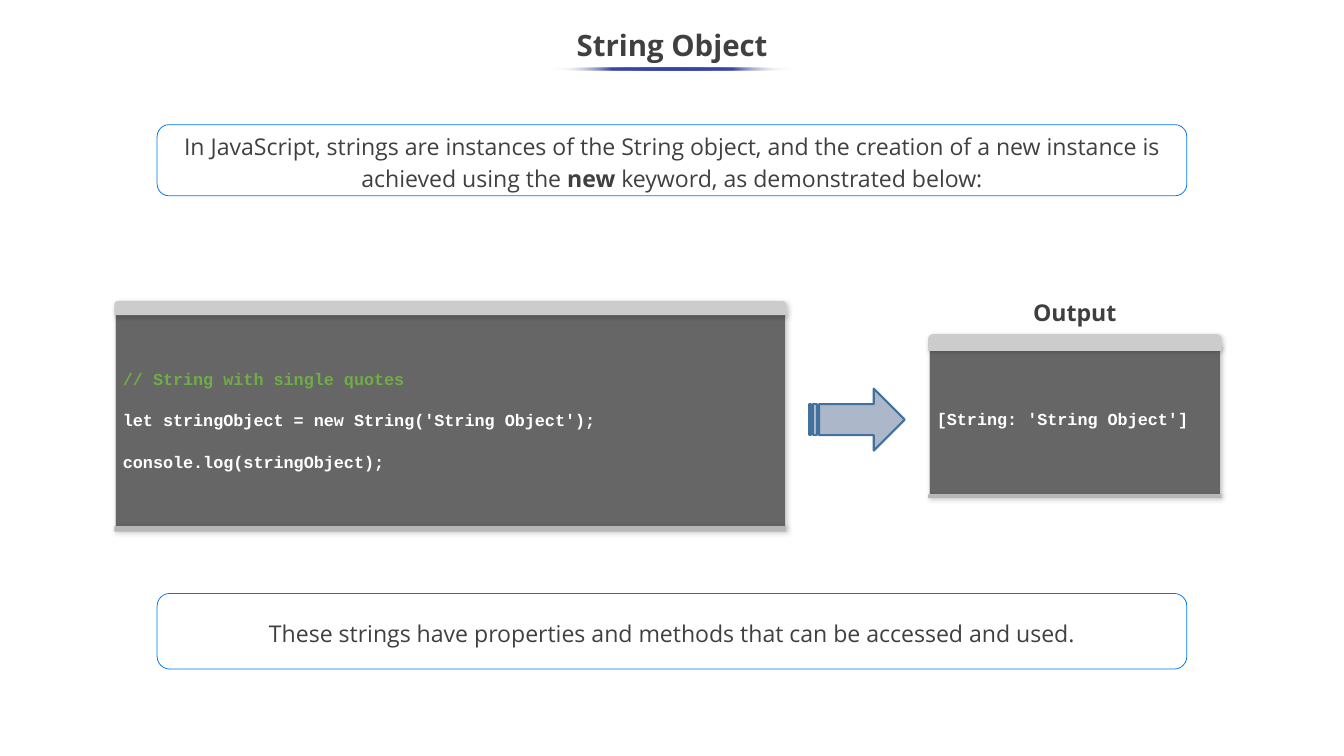
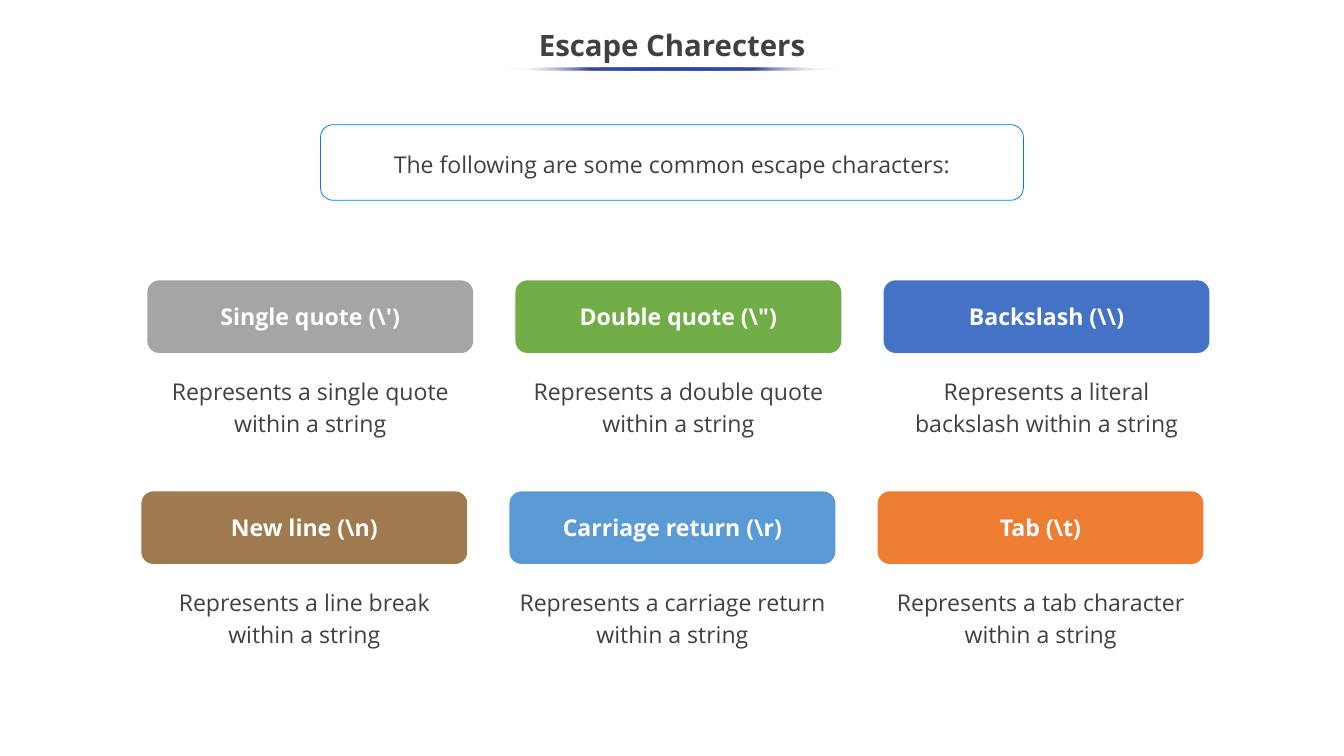
from collections import namedtuple

from lxml.etree import SubElement
from pptx import Presentation
from pptx.dml.color import RGBColor
from pptx.enum.shapes import MSO_SHAPE as Shape
from pptx.enum.text import MSO_ANCHOR as Anchor, MSO_AUTO_SIZE as AutoSize, PP_ALIGN as Align
from pptx.oxml import parse_xml
from pptx.oxml.ns import nsdecls, qn
from pptx.util import Cm, Pt

Box = namedtuple("Box", "left top width height")  # centimetres

SLIDE_WIDTH, SLIDE_HEIGHT = 45.16, 25.4
BODY_FONT, CODE_FONT = "Open Sans", "Courier New"
COLORS = {
    "text": "404040", "label": "3F3F3F", "white": "FFFFFF", "underline": "3645A9",
    "banner": "0078EE", "panel": "666666", "cap": "CCCCCC", "foot": "B7B7B7",
    "shadow": "000000", "arrow": "ACB8CA", "arrow_line": "42719B",
    "gray": "A5A5A5", "green": "70AD47", "blue": "4472C4",
    "brown": "9F7A4E", "sky": "5B9BD5", "orange": "ED7D31",
}


def rgb(name):
    return RGBColor.from_string(COLORS[name])


def centered(top, width, height):
    return Box((SLIDE_WIDTH - width) / 2, top, width, height)


def place(shape, box):
    shape.left, shape.top, shape.width, shape.height = map(Cm, box)


def write_text(shape, paragraphs, size=22, font=BODY_FONT, color="text", bold=False,
               align=Align.CENTER, anchor=Anchor.MIDDLE, spacing=None, gap=0,
               insets=(0.25, 0.13)):
    """Fill a shape; each paragraph is a list of (text, overrides of color and bold)."""
    frame = shape.text_frame
    frame.word_wrap = True
    frame.auto_size = AutoSize.NONE
    frame.vertical_anchor = anchor
    frame.margin_left = frame.margin_right = Cm(insets[0])
    frame.margin_top = frame.margin_bottom = Cm(insets[1])
    for index, runs in enumerate(paragraphs):
        paragraph = frame.add_paragraph() if index else frame.paragraphs[0]
        paragraph.alignment = align
        paragraph.line_spacing = spacing
        if index and gap:
            paragraph.space_before = Pt(gap)
        for text, overrides in runs:
            run = paragraph.add_run()
            run.text = text
            run.font.name = font
            run.font.size = Pt(size)
            run.font.bold = overrides.get("bold", bold)
            run.font.color.rgb = rgb(overrides.get("color", color))


def add_box(shapes, kind, box, fill=None, line=None, line_width=0.75):
    shape = shapes.add_shape(kind, *map(Cm, box))
    shape.shadow.inherit = False
    if fill:
        shape.fill.solid()
        shape.fill.fore_color.rgb = rgb(fill)
    else:
        shape.fill.background()
    if line:
        shape.line.color.rgb = rgb(line)
        shape.line.width = Pt(line_width)
    else:
        shape.line.fill.background()
    return shape


def add_textbox(slide, box, text, **text_format):
    textbox = slide.shapes.add_textbox(*map(Cm, box))
    write_text(textbox, [[(text, {})]], **text_format)


def cast_shadow(shape):
    effects = shape._element.spPr.find(qn("a:effectLst"))
    shadow = SubElement(effects, qn("a:outerShdw"), blurRad=str(Pt(4.5)), dist=str(Pt(1.5)),
                        dir=str(47 * 60000), algn="bl", rotWithShape="0")
    color = SubElement(shadow, qn("a:srgbClr"), val=COLORS["shadow"])
    SubElement(color, qn("a:alpha"), val="20000")


def fade_ends(shape):
    """Fill with a horizontal gradient that is transparent at both ends."""
    clear = f'<a:srgbClr val="{COLORS["white"]}"><a:alpha val="0"/></a:srgbClr>'
    solid = f'<a:srgbClr val="{COLORS["underline"]}"/>'
    stops = "".join(f'<a:gs pos="{position * 1000}">{color}</a:gs>' for position, color in
                    zip(range(0, 101, 25), (clear, solid, solid, solid, clear)))
    gradient = parse_xml(f'<a:gradFill {nsdecls("a")}><a:gsLst>{stops}</a:gsLst>'
                         '<a:lin ang="10800000" scaled="0"/></a:gradFill>')
    properties = shape._element.spPr
    properties.replace(properties.find(qn("a:noFill")), gradient)


def add_titled_slide(presentation, title, underline_width):
    slide = presentation.slides.add_slide(presentation.slide_layouts[5])
    place(slide.shapes.title, Box(0, 0.64, SLIDE_WIDTH, 1.9))
    write_text(slide.shapes.title, [[(title, {})]], size=28, bold=True, spacing=0.9)
    fade_ends(add_box(slide.shapes, Shape.OVAL, centered(2.26, underline_width, 0.1)))
    return slide


def add_banner(slide, box, runs):
    banner = add_box(slide.shapes, Shape.ROUNDED_RECTANGLE, box, line="banner")
    write_text(banner, [runs], spacing=1.15, insets=(0.25, 0))


def add_code_panel(slide, box, lines, cap_height, foot_height, overlap):
    """Draw a code window; its body starts `overlap` above the lower edge of the cap."""
    shapes = slide.shapes.add_group_shape().shapes
    inset = 0.04
    body_top = box.top + cap_height - overlap
    foot_top = box.top + box.height - foot_height
    body = add_box(shapes, Shape.RECTANGLE,
                   Box(box.left + inset, body_top, box.width - 2 * inset, foot_top - body_top),
                   fill="panel", line="cap")
    write_text(body, [[line] for line in lines], size=16, font=CODE_FONT, color="white",
               bold=True, align=Align.LEFT, gap=20.4, insets=(0.25, 0.25))
    cap = add_box(shapes, Shape.ROUND_2_SAME_RECTANGLE,
                  box._replace(height=cap_height), fill="cap")
    cap.adjustments[0] = 0.275
    foot = add_box(shapes, Shape.RECTANGLE,
                   box._replace(top=foot_top, height=foot_height), fill="foot")
    for part in (body, cap, foot):
        cast_shadow(part)


def add_escape_card(slide, box, heading, description, fill):
    card = add_box(slide.shapes, Shape.ROUNDED_RECTANGLE, box._replace(height=2.44), fill=fill)
    write_text(card, [[(heading, {})]], color="white", bold=True, insets=(0.18, 0.08))
    add_textbox(slide, Box(box.left, box.top + 3, box.width, box.height - 3), description,
                spacing=1.15, anchor=Anchor.TOP)


def build_string_object(presentation):
    slide = add_titled_slide(presentation, "String Object", 8.03)
    add_banner(slide, centered(4.19, 34.6, 2.39), [
        ("In JavaScript, strings are instances of the String object, and the creation of "
         "a new instance is achieved using the ", {}),
        ("new", {"bold": True}),
        (" keyword, as demonstrated below:", {}),
    ])
    add_code_panel(slide, Box(31.19, 11.23, 9.86, 5.51), [("[String: 'String Object']", {})],
                   cap_height=0.56, foot_height=0.13, overlap=0.23)
    add_code_panel(slide, Box(3.84, 10.11, 22.58, 7.75), [
        ("// String with single quotes", {"color": "green"}),
        ("let stringObject = new String('String Object');", {}),
        ("console.log(stringObject);", {}),
    ], cap_height=0.48, foot_height=0.18, overlap=0.03)
    add_box(slide.shapes, Shape.STRIPED_RIGHT_ARROW, Box(27.2, 13.06, 3.2, 2.08),
            fill="arrow", line="arrow_line", line_width=2)
    add_textbox(slide, Box(34.16, 9.19, 3.91, 2.74), "Output",
                color="label", bold=True, spacing=0.9)
    add_banner(slide, centered(19.94, 34.6, 2.54), [
        ("These strings have properties and methods that can be accessed and used.", {}),
    ])


def build_escape_characters(presentation):
    slide = add_titled_slide(presentation, "Escape Charecters", 11.2)
    add_banner(slide, centered(4.19, 23.62, 2.54),
               [("The following are some common escape characters:", {})])
    rows = [
        (4.95, 9.42, [
            (r"Single quote (\')", "Represents a single quote within a string", "gray"),
            (r'Double quote (\")', "Represents a double quote within a string", "green"),
            (r"Backslash (\\)", "Represents a literal backslash within a string", "blue"),
        ]),
        (4.75, 16.51, [
            (r"New line (\n)", "Represents a line break within a string", "brown"),
            (r"Carriage return (\r)", "Represents a carriage return within a string", "sky"),
            (r"Tab (\t)", "Represents a tab character within a string", "orange"),
        ]),
    ]
    column_pitch = 12.37
    for left, top, cards in rows:
        for column, card in enumerate(cards):
            add_escape_card(slide, Box(left + column * column_pitch, top, 10.95, 5.13), *card)


def main():
    presentation = Presentation()
    presentation.slide_width, presentation.slide_height = Cm(SLIDE_WIDTH), Cm(SLIDE_HEIGHT)
    build_string_object(presentation)
    build_escape_characters(presentation)
    presentation.save("out.pptx")


if __name__ == "__main__":
    main()
